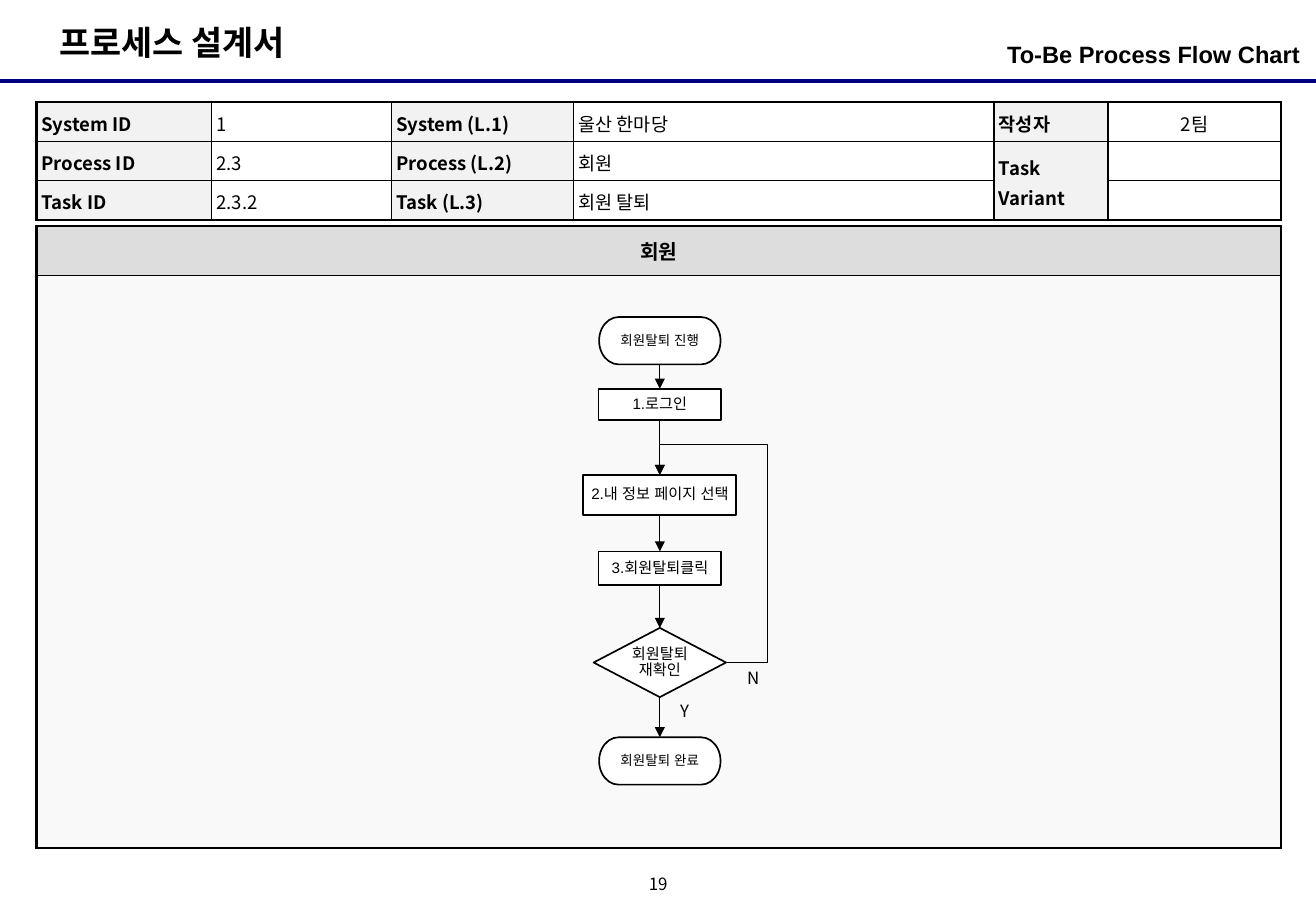
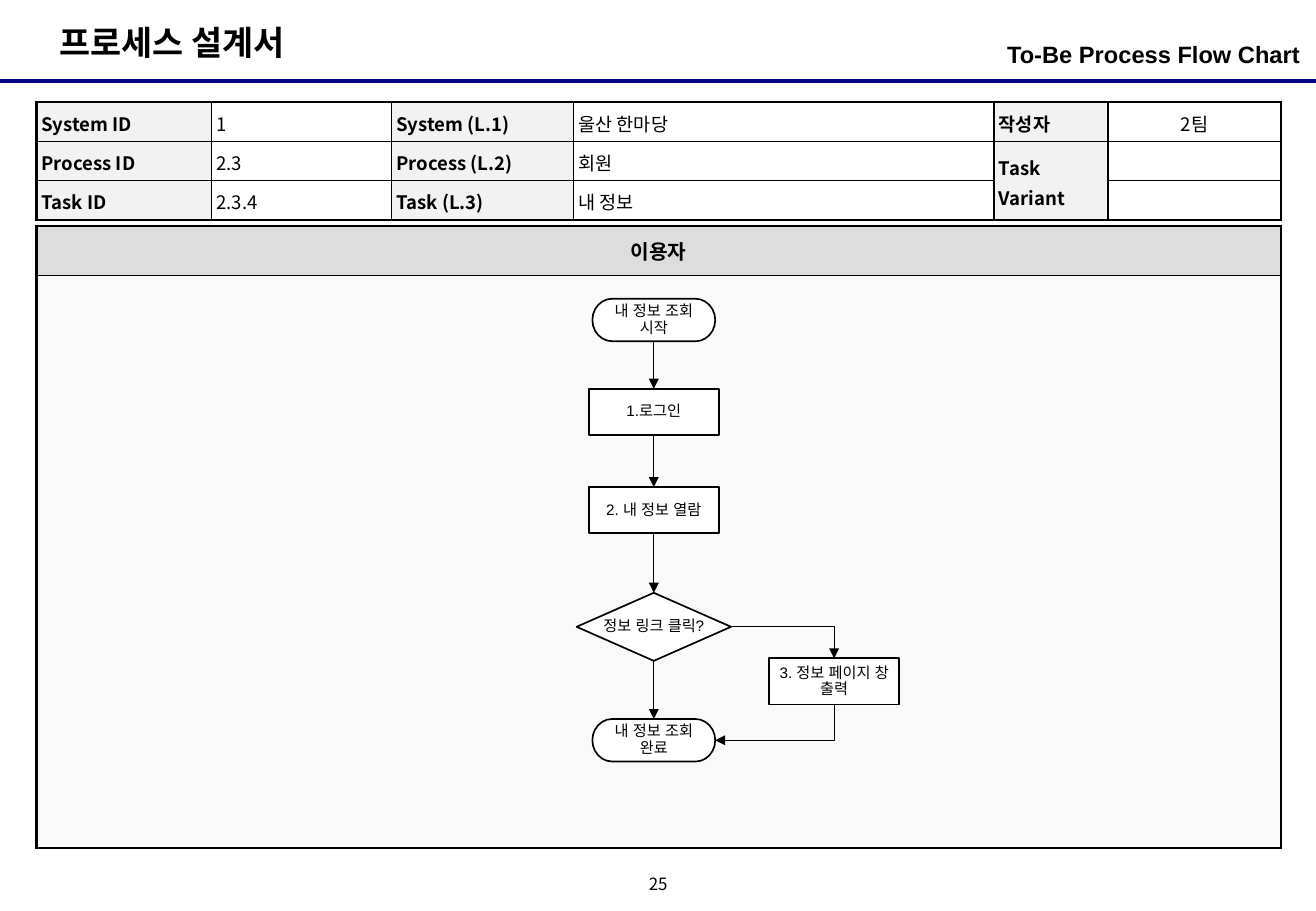
import dataclasses
import typing

import lxml.etree
import pptx
import pptx.dml.color
import pptx.enum.shapes
import pptx.enum.text
import pptx.oxml.ns
import pptx.util

Pt = pptx.util.Pt
Inches = pptx.util.Inches
qn = pptx.oxml.ns.qn
FORM = pptx.enum.shapes.MSO_SHAPE
LINK = pptx.enum.shapes.MSO_CONNECTOR
ALIGN = pptx.enum.text.PP_ALIGN
ANCHOR = pptx.enum.text.MSO_ANCHOR
TOP, BOTTOM, RIGHT = 0, 2, 3  # connection sites


@dataclasses.dataclass(frozen=True)
class Theme:
    """Colours, fonts and type sizes of the deck."""
    ink: str = "000000"
    navy: str = "000080"
    white: str = "FFFFFF"
    head: str = "DDDDDD"
    label: str = "F2F2F2"
    body: str = "F9F9F9"
    sans: str = "Arial"
    noto: str = "Noto Sans CJK KR"
    title: float = 20
    sub: float = 14
    lane: float = 12
    cell: float = 11
    note: float = 10
    step: float = 9
    small: float = 8


THEME = Theme()
WIDE, HIGH = 10.83, 7.5


@dataclasses.dataclass(frozen=True)
class Look:
    """How a piece of text is set; gap is space around it in percent."""
    size: float
    font: str = THEME.noto
    bold: bool = False
    align: ALIGN = ALIGN.LEFT
    anchor: ANCHOR = ANCHOR.TOP
    pad: tuple[float, float] = (0.1, 0.05)
    lead: float = 1.0
    gap: tuple[int, int] = (0, 0)
    wrap: bool = True


TITLE = Look(THEME.title, bold=True)
SUB = Look(THEME.sub, THEME.sans, True, ALIGN.RIGHT, pad=(0, 0.05), gap=(20, 0))
PAGE = Look(THEME.note, align=ALIGN.CENTER, anchor=ANCHOR.MIDDLE, pad=(0, 0),
            lead=0.8, wrap=False)
LANE = Look(THEME.lane, bold=True, align=ALIGN.CENTER, anchor=ANCHOR.MIDDLE)
CELL = Look(THEME.cell, pad=(0.04, 0.04), lead=1.1, gap=(10, 10))
STEP = Look(THEME.step, THEME.sans, align=ALIGN.CENTER, anchor=ANCHOR.MIDDLE,
            pad=(0.02, 0), lead=0.9, wrap=False)
NOTE = Look(THEME.note)


class Box(typing.NamedTuple):
    """A place in percent of the slide's width and height."""
    left: float
    top: float
    wide: float
    high: float


class Node(typing.NamedTuple):
    """A step of the flow, placed by its centre line and top."""
    text: str
    form: FORM
    mid: float
    top: float
    wide: float
    high: float
    size: float = THEME.step


class Edge(typing.NamedTuple):
    """An arrow between two steps."""
    start: int
    end: int
    out: int = BOTTOM
    into: int = TOP
    kind: str = "line"
    turn: bool = False
    bends: tuple[int, ...] = ()


class Note(typing.NamedTuple):
    """A short answer beside an arrow."""
    text: str
    box: Box


class Sheet(typing.NamedTuple):
    """All that differs from slide to slide."""
    page: str
    task: str
    name: str
    lane: str
    nodes: list[Node]
    edges: list[Edge]
    notes: list[Note]


def across(share: float) -> int:
    """Percent of the slide's width."""
    return Inches(WIDE * share / 100)


def down(share: float) -> int:
    """Percent of the slide's height."""
    return Inches(HIGH * share / 100)


def place(box: Box) -> tuple[int, int, int, int]:
    """Turn a box into slide lengths."""
    return across(box.left), down(box.top), across(box.wide), down(box.high)


def put(thing: typing.Any, values: dict[str, typing.Any]) -> None:
    """Set each named attribute."""
    for key, value in values.items():
        setattr(thing, key, value)


def tint(color: str) -> pptx.dml.color.RGBColor:
    """Colour from hex."""
    return pptx.dml.color.RGBColor.from_string(color)


def child(parent: typing.Any, tag: str, **values: str) -> typing.Any:
    """Append an XML child."""
    return lxml.etree.SubElement(parent, qn(tag), values)


def sides(look: Look) -> dict[str, int]:
    """Margins of a frame or cell."""
    flat, tall = map(Inches, look.pad)
    return {"margin_left": flat, "margin_right": flat,
            "margin_top": tall, "margin_bottom": tall}


def write(frame: typing.Any, text: str, look: Look) -> None:
    """Fill a text frame, one paragraph a line."""
    for i, words in enumerate(text.split("\n")):
        para = frame.add_paragraph() if i else frame.paragraphs[0]
        put(para, {"alignment": look.align, "line_spacing": look.lead,
                   "space_before": Pt(0), "space_after": Pt(0)})
        for tag, gap in zip(("a:spcBef", "a:spcAft"), look.gap):
            space = para._p.pPr.find(qn(tag))
            space.clear()
            child(space, "a:spcPct", val=str(gap * 1000))
        if not words:
            child(para._p, "a:endParaRPr", sz=str(int(look.size * 100)))
            continue
        run = para.add_run()
        run.text = words
        put(run.font, {"size": Pt(look.size), "bold": look.bold, "name": look.font})
        run.font.color.rgb = tint(THEME.ink)
        child(run._r.rPr, "a:ea", typeface=look.font)


def label(shape: typing.Any, text: str, look: Look) -> None:
    """Format a shape's frame and write in it."""
    put(shape.text_frame, sides(look) | {
        "word_wrap": look.wrap, "vertical_anchor": look.anchor,
        "auto_size": pptx.enum.text.MSO_AUTO_SIZE.NONE})
    write(shape.text_frame, text, look)


def textbox(slide: typing.Any, box: Box, text: str, look: Look) -> None:
    """Add a text box."""
    label(slide.shapes.add_textbox(*place(box)), text, look)


def stroke(link: typing.Any, color: str, width: float) -> None:
    """Style a connector's line and drop its shadow."""
    link.line.color.rgb = tint(color)
    link.line.width = Pt(width)
    child(link.element.spPr, "a:effectLst")


def grid(slide: typing.Any, left: float, top: float, cols: list[float],
         rows: list[float]) -> typing.Any:
    """Add a plain table sized by its columns and rows."""
    box = Box(left, top, sum(cols), sum(rows))
    table = slide.shapes.add_table(len(rows), len(cols), *place(box)).table
    put(table, {"first_row": False, "horz_banding": False})
    for col, share in zip(table.columns, cols):
        col.width = across(share)
    for row, share in zip(table.rows, rows):
        row.height = down(share)
    return table


def fill(table: typing.Any, row: int, col: int, text: str, look: Look,
         color: str | None, inner: float) -> None:
    """Write, rule and fill a cell; outer rules are heavy."""
    cell = table.cell(row, col)
    deep = cell.span_height if cell.is_merge_origin else 1
    put(cell, sides(look) | {"vertical_anchor": look.anchor})
    write(cell.text_frame, text, look)
    rims = {"L": col == 0, "R": col == len(table.columns) - 1,
            "T": row == 0, "B": row + deep == len(table.rows)}
    for side, rim in rims.items():
        line = child(cell._tc.get_or_add_tcPr(), f"a:ln{side}",
                     w=str(Pt(1.5 if rim else inner)))
        child(child(line, "a:solidFill"), "a:srgbClr", val=THEME.ink)
    if color:
        cell.fill.solid()
        cell.fill.fore_color.rgb = tint(color)
    else:
        cell.fill.background()


def facts(slide: typing.Any, sheet: Sheet) -> None:
    """Draw the table that names the task."""
    rows = [["System ID", "1", "System (L.1)", "울산 한마당", "작성자", "2팀"],
            ["Process ID", "2.3", "Process (L.2)", "회원", "Task Variant", ""],
            ["Task ID", sheet.task, "Task (L.3)", sheet.name, "", ""]]
    table = grid(slide, 2.77, 11.2, [13.3, 13.67, 13.85, 31.95, 8.68, 13.11], [4.17] * 3)
    table.cell(1, 4).merge(table.cell(2, 4))
    for r, row in enumerate(rows):
        for c, text in enumerate(row):
            if table.cell(r, c).is_spanned:
                continue
            key = c % 2 == 0
            look = dataclasses.replace(
                CELL, bold=key, align=ALIGN.CENTER if c == 5 else ALIGN.LEFT,
                anchor=ANCHOR.MIDDLE if c > 3 else ANCHOR.TOP)
            fill(table, r, c, text, look, THEME.label if key else None, 1)


def lane(slide: typing.Any, name: str) -> None:
    """Draw the swim lane behind the flow."""
    table = grid(slide, 2.77, 24.8, [94.56], [5.47, 62.8])
    for r, (text, color) in enumerate([(name, THEME.head), ("", THEME.body)]):
        fill(table, r, 0, text, LANE, color, 0.75)


def step(slide: typing.Any, node: Node) -> typing.Any:
    """Draw a step of the flow."""
    box = Box(node.mid - node.wide / 2, node.top, node.wide, node.high)
    shape = slide.shapes.add_shape(node.form, *place(box))
    shape.shadow.inherit = False
    shape.fill.solid()
    shape.fill.fore_color.rgb = tint(THEME.white)
    shape.line.color.rgb = tint(THEME.ink)
    shape.line.width = Pt(1)
    label(shape, node.text, dataclasses.replace(STEP, size=node.size))
    return shape


def arrow(slide: typing.Any, edge: Edge, steps: list[typing.Any]) -> None:
    """Join two steps with an arrow."""
    link = slide.shapes.add_connector(LINK.STRAIGHT, 0, 0, 0, 0)
    link.begin_connect(steps[edge.start], edge.out)
    link.end_connect(steps[edge.end], edge.into)
    stroke(link, THEME.ink, 0.75)
    child(link.element.spPr.find(qn("a:ln")), "a:tailEnd", type="triangle")
    shape = link.element.spPr.find(qn("a:prstGeom"))
    shape.set("prst", edge.kind)
    for i, bend in enumerate(edge.bends, 1):
        child(shape.find(qn("a:avLst")), "a:gd", name=f"adj{i}", fmla=f"val {bend}")
    if edge.turn:
        wide, high = link.width, link.height
        put(link, {"left": link.left + (wide - high) // 2,
                   "top": link.top + (high - wide) // 2,
                   "width": high, "height": wide})
        frame = link.element.spPr.find(qn("a:xfrm"))
        frame.attrib.pop("flipH", None)
        frame.set("rot", "5400000")


def draw(deck: typing.Any, sheet: Sheet) -> None:
    """Build one slide."""
    slide = deck.slides.add_slide(deck.slide_layouts[5])
    rule = slide.shapes.add_connector(LINK.STRAIGHT, 0, down(8.93), across(100), down(8.93))
    stroke(rule, THEME.navy, 2.25)
    title = slide.shapes.title
    put(title, dict(zip(("left", "top", "width", "height"),
                        place(Box(3.6, 1.73, 20.87, 5.87)))))
    label(title, "프로세스 설계서", TITLE)
    textbox(slide, Box(48.48, 95.6, 3.05, 3.33), sheet.page, PAGE)
    textbox(slide, Box(68.24, 3.73, 30.56, 5.2), "To-Be Process Flow Chart", SUB)
    lane(slide, sheet.lane)
    facts(slide, sheet)
    steps = [step(slide, node) for node in sheet.nodes]
    for edge in sheet.edges:
        arrow(slide, edge, steps)
    for note in sheet.notes:
        textbox(slide, note.box, note.text, NOTE)


END, BLOCK, ASK = FORM.FLOWCHART_TERMINATOR, FORM.RECTANGLE, FORM.FLOWCHART_DECISION
LEAVE, VIEW = 50.14, 49.68  # centre lines of the two flows
SHEETS = [
    Sheet("19", "2.3.2", "회원 탈퇴", "회원", [
        Node("회원탈퇴 진행", END, LEAVE, 34.8, 9.23, 5.2, THEME.small),
        Node("1.로그인", BLOCK, LEAVE, 42.67, 9.33, 3.47),
        Node("2.내 정보 페이지 선택", BLOCK, LEAVE, 52.13, 11.63, 4.4),
        Node("3.회원탈퇴클릭", BLOCK, LEAVE, 60.53, 9.33, 3.67),
        Node("회원탈퇴\n재확인", FORM.DIAMOND, LEAVE, 68.93, 10.06, 7.6),
        Node("회원탈퇴 완료", END, LEAVE, 80.93, 9.23, 5.2, THEME.small),
    ], [Edge(i, i + 1) for i in range(5)]
        + [Edge(4, 2, RIGHT, TOP, "bentConnector4", bends=(-62300, 116200))],
        [Note("N", Box(55.86, 72.67, 3.97, 3.6)), Note("Y", Box(50.78, 76.27, 2.22, 3.6))]),
    Sheet("25", "2.3.4", "내 정보", "이용자", [
        Node("내 정보 조회\n시작", END, VIEW, 32.8, 9.33, 4.67),
        Node("1.로그인", BLOCK, VIEW, 42.67, 9.88, 5.07),
        Node("2. 내 정보 열람", BLOCK, VIEW, 53.47, 9.88, 5.07),
        Node("정보 링크 클릭?", ASK, VIEW, 65.07, 11.73, 7.47),
        Node("내 정보 조회\n완료", END, VIEW, 78.93, 9.33, 4.67),
        Node("3. 정보 페이지 창\n출력", BLOCK, 63.39, 72.27, 9.88, 5.07),
    ], [Edge(i, i + 1) for i in range(4)]
        + [Edge(3, 5, RIGHT, TOP, "bentConnector2"),
           Edge(5, 4, BOTTOM, RIGHT, "bentConnector2", turn=True)], []),
]

show = pptx.Presentation()
put(show, {"slide_width": Inches(WIDE), "slide_height": Inches(HIGH)})
for sheet in SHEETS:
    draw(show, sheet)
show.save("out.pptx")
